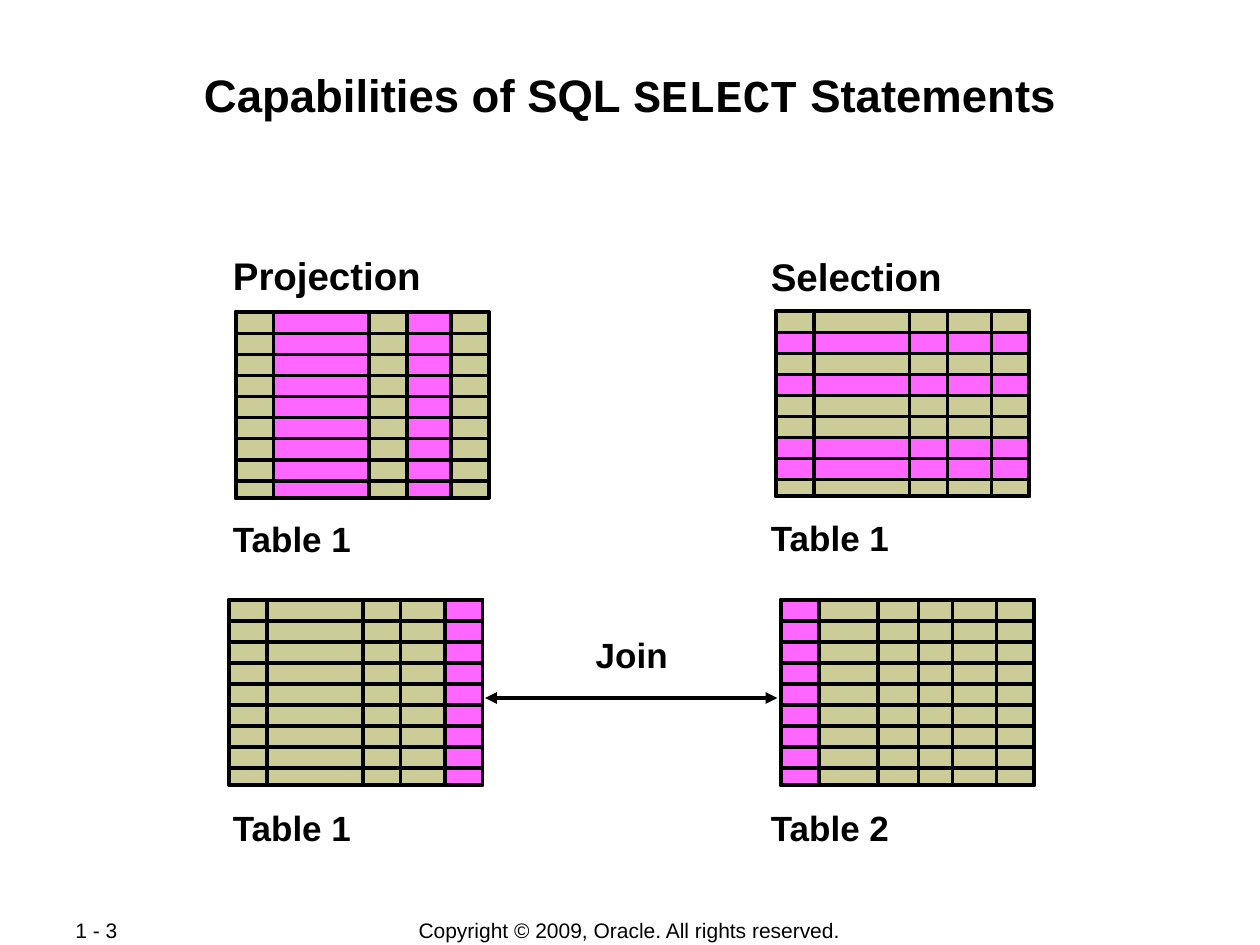
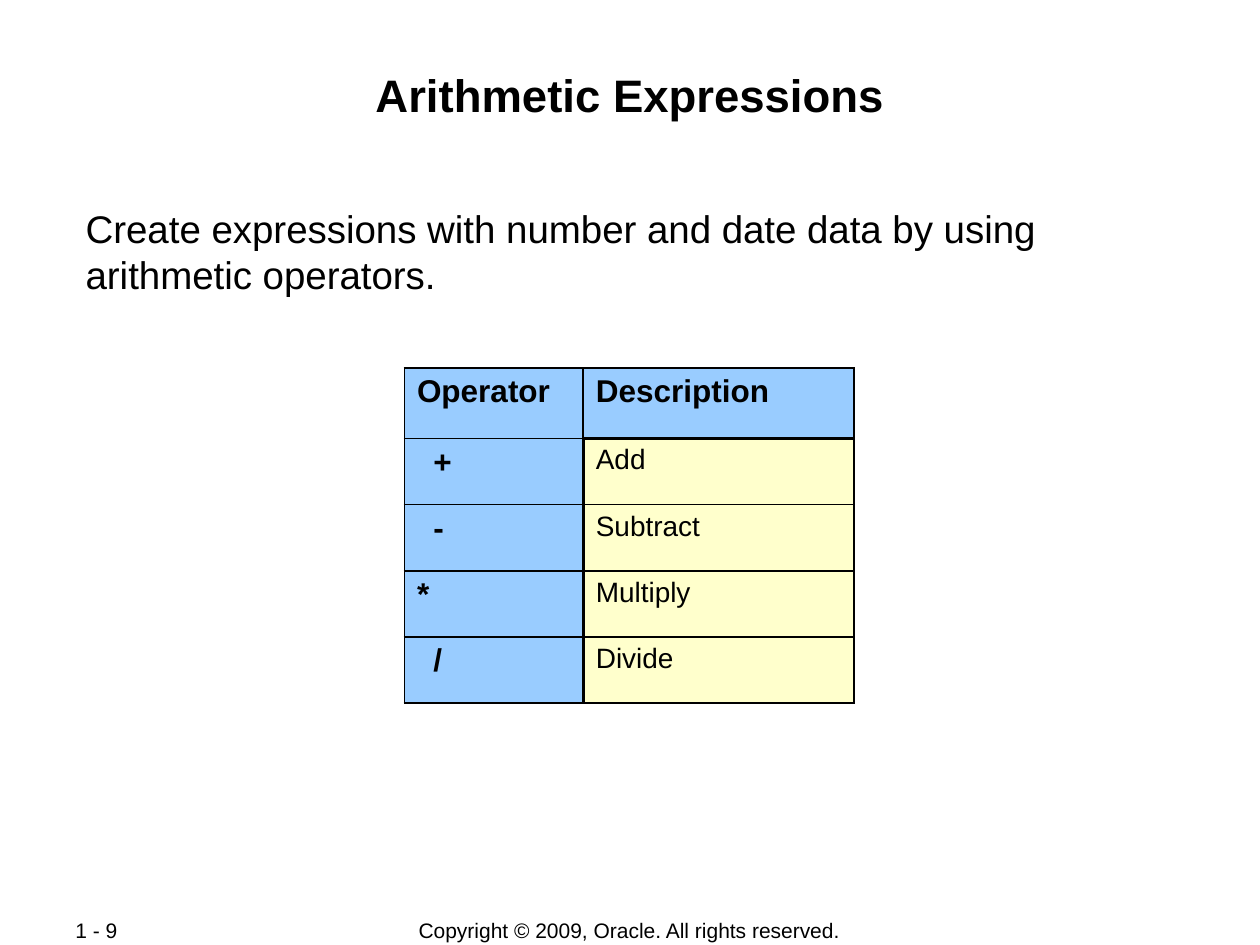
"""Build two slides on SQL SELECT capabilities and arithmetic expressions."""
from lxml.etree import SubElement
from pptx import Presentation
from pptx.dml.color import RGBColor as Color
from pptx.enum.shapes import MSO_CONNECTOR as Connector, MSO_SHAPE as Shape
from pptx.enum.text import MSO_ANCHOR as Anchor, PP_ALIGN as Align
from pptx.oxml.ns import qn
from pptx.util import Inches, Pt

COLORS = {
    "ink": "000000",
    "cell": "CCCC99",
    "chosen": "FF66FF",
    "header": "99CCFF",
    "body": "FFFFCC",
}
FONT, CODE_FONT = "Arial", "Courier New"
COLUMNS, ROWS = 100, 75
UNIT = Inches(0.1)
INK = Color.from_string(COLORS["ink"])


def write(frame, text, size=20, bold=False, align=Align.LEFT, anchor=Anchor.TOP,
          wrap=False, margins=(1, 0.5, 1, 0.5), indent=0):
    """Fill a text frame; pieces between backticks are set in the code font."""
    frame.word_wrap = wrap
    frame.vertical_anchor = anchor
    (frame.margin_left, frame.margin_top,
     frame.margin_right, frame.margin_bottom) = [int(m * UNIT) for m in margins]
    para = frame.paragraphs[0]
    para.alignment = align
    if indent:
        para._p.get_or_add_pPr().set("marL", str(int(indent * UNIT)))
    for index, piece in enumerate(text.split("`")):
        span = para.add_run()
        span.text = piece
        span.font.name = CODE_FONT if index % 2 else FONT
        span.font.size, span.font.bold = Pt(size), bold
        span.font.color.rgb = INK


def draw_line(page, x1, y1, x2, y2, width=2, arrows=False):
    """Draw a straight line between two grid points."""
    ends = [int(value * UNIT) for value in (x1, y1, x2, y2)]
    line = page.shapes.add_connector(Connector.STRAIGHT, *ends)
    line.line.color.rgb, line.line.width = INK, Pt(width)
    if arrows:
        for end in ("a:headEnd", "a:tailEnd"):
            SubElement(line.line._get_or_add_ln(), qn(end), type="triangle")
    SubElement(line._element.spPr, qn("a:effectLst"))


deck = Presentation()
deck.slide_width, deck.slide_height = COLUMNS * UNIT, ROWS * UNIT

tight = dict(wrap=True, margins=(0.1, 0.5, 0.1, 0.1))
title = dict(size=26, bold=True, align=Align.CENTER, **tight)
footer = dict(size=12, anchor=Anchor.MIDDLE)
heading = dict(size=22, bold=True)
caption = dict(size=20, bold=True)
title_area = (6.7, 4.8, 86.6, 9.6)

pages = []
texts = []
for name, number in (("Capabilities of SQL `SELECT` Statements", "1 - 3"),
                     ("Arithmetic Expressions", "1 - 9")):
    page = deck.slides.add_slide(deck.slide_layouts[6])
    pages.append(page)
    texts += [
        (page, "Copyright © 2009, Oracle. All rights reserved.",
         (27.5, 72.8, 44.9, 2.1), dict(align=Align.CENTER, **footer)),
        (page, number, (5, 72.8, 10.6, 2), dict(align=Align.JUSTIFY, **footer)),
        (page, name, title_area, title),
    ]
capabilities, arithmetic = pages

grid_width, grid_height = 20.1, 14.7
row_height = grid_height / 8.8
dividers = [3, 10.6, 13.6, 17.1]
grids = [
    (18.7, 24.8, dividers, [1, 3], []),
    (61.6, 24.7, dividers, [], [1, 3, 6, 7]),
    (18.2, 47.6, dividers, [4], []),
    (62, 47.6, [3, 7.7, 10.9, 13.6, 17.1], [0], []),
]
for left, top, columns, chosen_columns, chosen_rows in grids:
    edges = [0, *columns, grid_width]
    whole = (0, 0, grid_width, grid_height)
    areas = [("cell", True, whole)]
    areas += [("chosen", False, (edges[c], 0, edges[c + 1] - edges[c], grid_height))
              for c in chosen_columns]
    areas += [("chosen", False, (0, r * row_height, grid_width, row_height))
              for r in chosen_rows]
    areas.append((None, True, whole))
    for fill, outlined, (x, y, width, height) in areas:
        place = [int(v * UNIT) for v in (left + x, top + y, width, height)]
        box = capabilities.shapes.add_shape(Shape.RECTANGLE, *place)
        box.shadow.inherit = False
        if fill:
            box.fill.solid()
            box.fill.fore_color.rgb = Color.from_string(COLORS[fill])
        else:
            box.fill.background()
        if outlined:
            box.line.color.rgb, box.line.width = INK, Pt(2.25)
        else:
            box.line.fill.background()
    for x in columns:
        draw_line(capabilities, left + x, top, left + x, top + grid_height)
    for row in range(1, 9):
        y = top + row * row_height
        draw_line(capabilities, left, y, left + grid_width, y)

draw_line(capabilities, 38.5, 55.4, 61.7, 55.4, width=2.25, arrows=True)

texts += [
    (capabilities, "Projection", (17.5, 19.5, 16.9, 4.7), heading),
    (capabilities, "Selection", (60.2, 19.6, 15.6, 4.7), heading),
    (capabilities, "Table 1", (17.5, 40.6, 11.6, 4.3), caption),
    (capabilities, "Table 1", (60.2, 40.5, 11.6, 4.3), caption),
    (capabilities, "Table 1", (17.5, 63.5, 11.6, 4.3), caption),
    (capabilities, "Table 2", (60.2, 63.5, 11.6, 4.3), caption),
    (capabilities, "Join", (46.3, 49.8, 7.7, 4.3), caption),
    (arithmetic,
     "Create expressions with number and date data by using arithmetic operators.",
     (6.7, 15.8, 86.6, 7.6), dict(size=22, **tight)),
]
for page, text, area, style in texts:
    box = page.shapes.add_textbox(*[int(value * UNIT) for value in area])
    write(box.text_frame, text, **style)

operators = [("Operator", "Description"), ("+", "Add"), ("-", "Subtract"),
             ("*", "Multiply"), ("/", "Divide")]
widths, heights = [14.2, 21.5], [5.6] + [5.25] * 4
area = (32.1, 29.2, sum(widths), sum(heights))
table = arithmetic.shapes.add_table(
    len(heights), len(widths), *[int(value * UNIT) for value in area]).table
table.first_row = table.horz_banding = False
for column, width in zip(table.columns, widths):
    column.width = int(width * UNIT)
for r, (row, height) in enumerate(zip(table.rows, heights)):
    row.height = int(height * UNIT)
    for c, cell in enumerate(row.cells):
        text = operators[r][c]
        value_cell = r > 0 and c == 1
        indent = 1.3 if text in ("+", "-", "/") else 0
        write(cell.text_frame, text, size=16 if value_cell else 18,
              bold=not value_cell, wrap=True, indent=indent)
        heavy = {(0, 1): "B", (1, 1): "LT"}.get((r, c), "RL"[c] if r else "")
        for side in "LRTB":
            width = Pt(2.21 if side in heavy else 1.08)
            border = SubElement(cell._tc.get_or_add_tcPr(), qn(f"a:ln{side}"), w=str(width))
            paint = SubElement(border, qn("a:solidFill"))
            SubElement(paint, qn("a:srgbClr"), val=COLORS["ink"])
        cell.fill.solid()
        cell.fill.fore_color.rgb = Color.from_string(COLORS["body" if value_cell else "header"])

deck.save("out.pptx")
